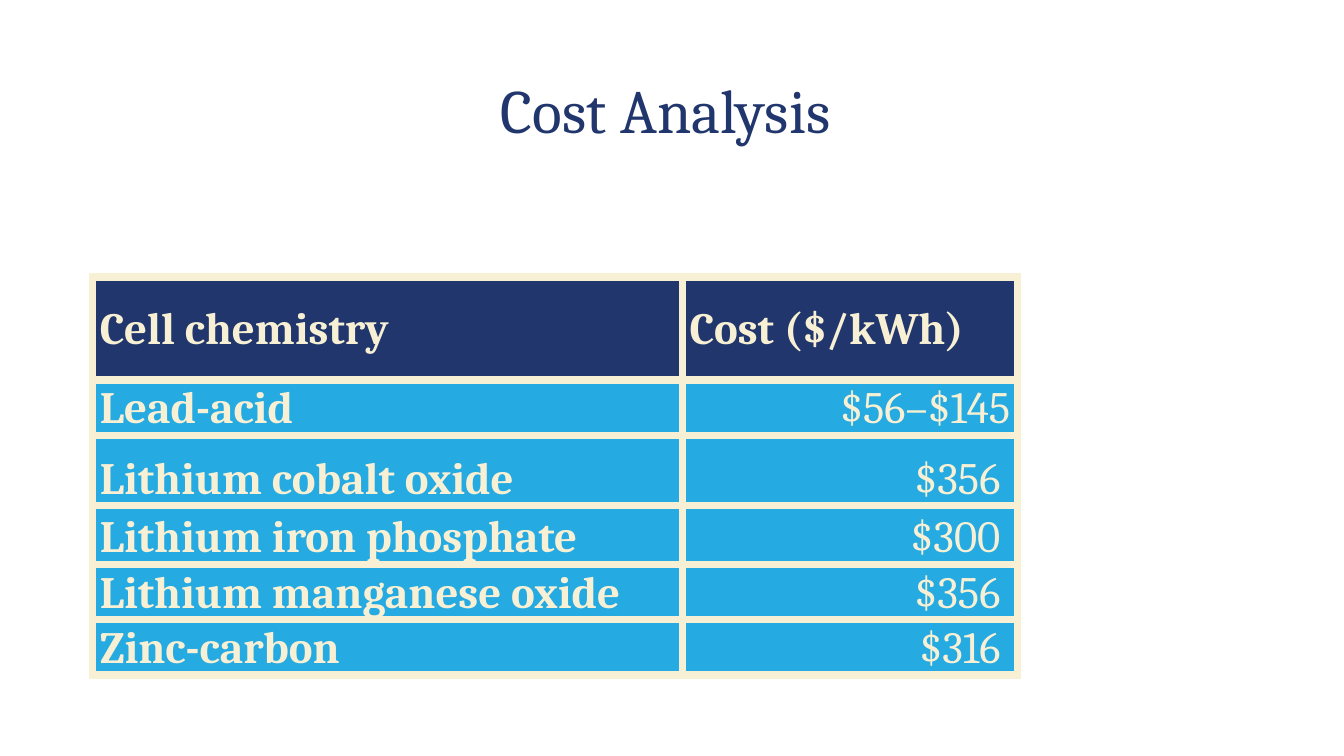
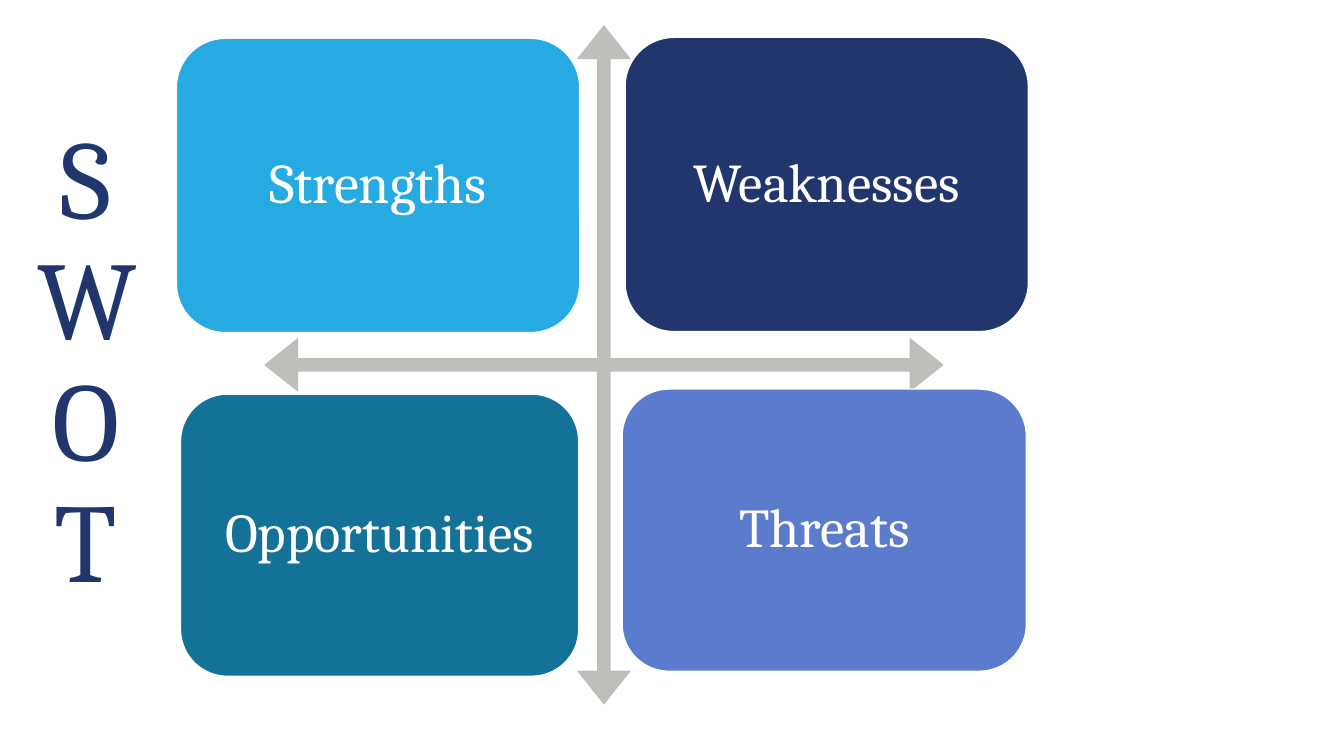
from dataclasses import dataclass

import lxml.etree
import pptx
import pptx.dml.color
import pptx.enum.shapes
import pptx.enum.text
import pptx.oxml.ns
import pptx.util

Inches = pptx.util.Inches
Pt = pptx.util.Pt
RGBColor = pptx.dml.color.RGBColor
Align = pptx.enum.text.PP_ALIGN
Anchor = pptx.enum.text.MSO_ANCHOR
Shape = pptx.enum.shapes.MSO_SHAPE


@dataclass(frozen=True)
class Theme:
    font: str = "Cambria"
    navy: str = "21366D"
    sky: str = "25AAE2"
    teal: str = "147298"
    periwinkle: str = "5B7CCD"
    cream: str = "F7F0D4"
    grey: str = "BDBFBB"
    white: str = "FFFFFF"
    title_size: int = 44
    acronym_size: int = 80
    table_size: int = 32
    card_size: int = 39
    lead_card_size: int = 40
    border_width: int = 6


theme = Theme()


def style_paragraph(paragraph, size, color, align, spacing=0.9, bold=False):
    paragraph.alignment = align
    paragraph.line_spacing = spacing
    font = paragraph.font
    font.name = theme.font
    font.size = Pt(size)
    font.bold = bold
    font.color.rgb = RGBColor.from_string(color)


def add_titled_slide(title_text, box, size):
    """Add a title-only slide whose title fills box (left, top, width, height in inches)."""
    slide = deck.slides.add_slide(deck.slide_layouts[5])
    title = slide.shapes.title
    title.left, title.top, title.width, title.height = map(Inches, box)
    frame = title.text_frame
    frame.text = title_text
    frame.word_wrap = True
    frame.auto_size = pptx.enum.text.MSO_AUTO_SIZE.NONE
    frame.vertical_anchor = Anchor.MIDDLE
    style_paragraph(frame.paragraphs[0], size, theme.navy, Align.CENTER)
    return slide


deck = pptx.Presentation()
deck.slide_width = Inches(13.33)
deck.slide_height = Inches(7.5)

# Cost analysis
cost_slide = add_titled_slide("Cost Analysis ", (0.92, 0.4, 11.5, 1.45), theme.title_size)

costs = [
    ("Cell chemistry", "Cost ($/kWh)"),
    ("Lead-acid", "$56–$145"),
    ("Lithium cobalt oxide", "$356 "),
    ("Lithium iron phosphate", "$300 "),
    ("Lithium manganese oxide", "$356 "),
    ("Zinc-carbon", "$316 "),
]
column_widths = [5.85, 3.32]
row_heights = [1.02, 0.5, 0.7, 0.58, 0.55, 0.5]

cost_table = cost_slide.shapes.add_table(
    len(costs), len(column_widths), Inches(0.92), Inches(2.75),
    Inches(sum(column_widths)), Inches(sum(row_heights))).table
cost_table.horz_banding = False
for column, width in zip(cost_table.columns, column_widths):
    column.width = Inches(width)

for row_index, (row, height) in enumerate(zip(cost_table.rows, row_heights)):
    row.height = Inches(height)
    is_header = row_index == 0
    for column_index, cell in enumerate(row.cells):
        is_price = column_index == 1 and not is_header
        cell.text = costs[row_index][column_index]
        cell.margin_left = cell.margin_right = Inches(0.07)
        cell.margin_top = cell.margin_bottom = 0
        cell.vertical_anchor = Anchor.MIDDLE if is_header else Anchor.BOTTOM
        style_paragraph(cell.text_frame.paragraphs[0], theme.table_size, theme.cream,
                        Align.RIGHT if is_price else Align.LEFT,
                        spacing=1.07, bold=not is_price)

        # Borders must precede the fill in the cell properties
        properties = cell._tc.get_or_add_tcPr()
        for side in ("a:lnL", "a:lnR", "a:lnT", "a:lnB"):
            border = lxml.etree.SubElement(
                properties, pptx.oxml.ns.qn(side), w=str(Pt(theme.border_width)))
            border_fill = lxml.etree.SubElement(border, pptx.oxml.ns.qn("a:solidFill"))
            lxml.etree.SubElement(border_fill, pptx.oxml.ns.qn("a:srgbClr"), val=theme.cream)
        cell.fill.solid()
        cell.fill.fore_color.rgb = RGBColor.from_string(theme.navy if is_header else theme.sky)

# SWOT
swot_slide = add_titled_slide("SWOT", (0.19, 0.25, 1.32, 6.74), theme.acronym_size)

axes = swot_slide.shapes.add_shape(
    Shape.QUAD_ARROW, Inches(2.62), Inches(0.25), Inches(6.74), Inches(6.74))
for index, ratio in enumerate((0.02, 0.04, 0.05)):
    axes.adjustments[index] = ratio
axes.shadow.inherit = False
axes.fill.solid()
axes.fill.fore_color.rgb = RGBColor.from_string(theme.grey)
axes.line.fill.background()

quadrants = [
    ("Strengths", (1.75, 0.38, 4, 2.92), theme.sky, theme.lead_card_size),
    ("Weaknesses", (6.2, 0.37, 4, 2.92), theme.navy, theme.card_size),
    ("Opportunities", (1.79, 3.91, 3.95, 2.8), theme.teal, theme.card_size),
    ("Threats", (6.17, 3.86, 4.01, 2.8), theme.periwinkle, theme.card_size),
]
for label, box, color, size in quadrants:
    card = swot_slide.shapes.add_shape(Shape.ROUNDED_RECTANGLE, *map(Inches, box))
    card.shadow.inherit = False
    card.fill.solid()
    card.fill.fore_color.rgb = RGBColor.from_string(color)
    card.line.color.rgb = RGBColor.from_string(theme.white)
    card.line.width = Pt(1)
    frame = card.text_frame
    frame.text = label
    frame.word_wrap = True
    frame.vertical_anchor = Anchor.MIDDLE
    frame.margin_left = frame.margin_right = Inches(0.16)
    frame.margin_top = frame.margin_bottom = Inches(0.16)
    style_paragraph(frame.paragraphs[0], size, theme.white, Align.CENTER)

deck.save("out.pptx")
